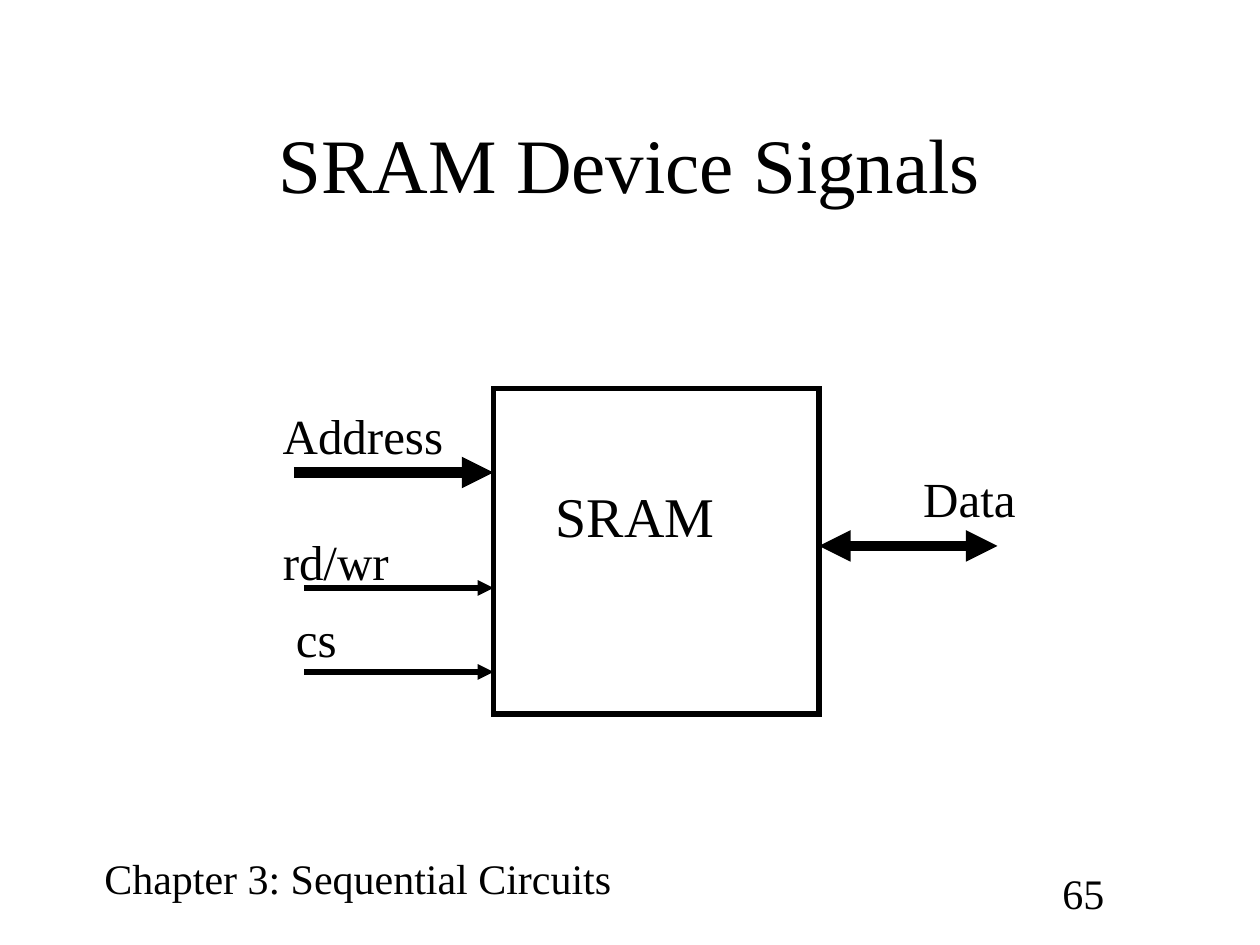
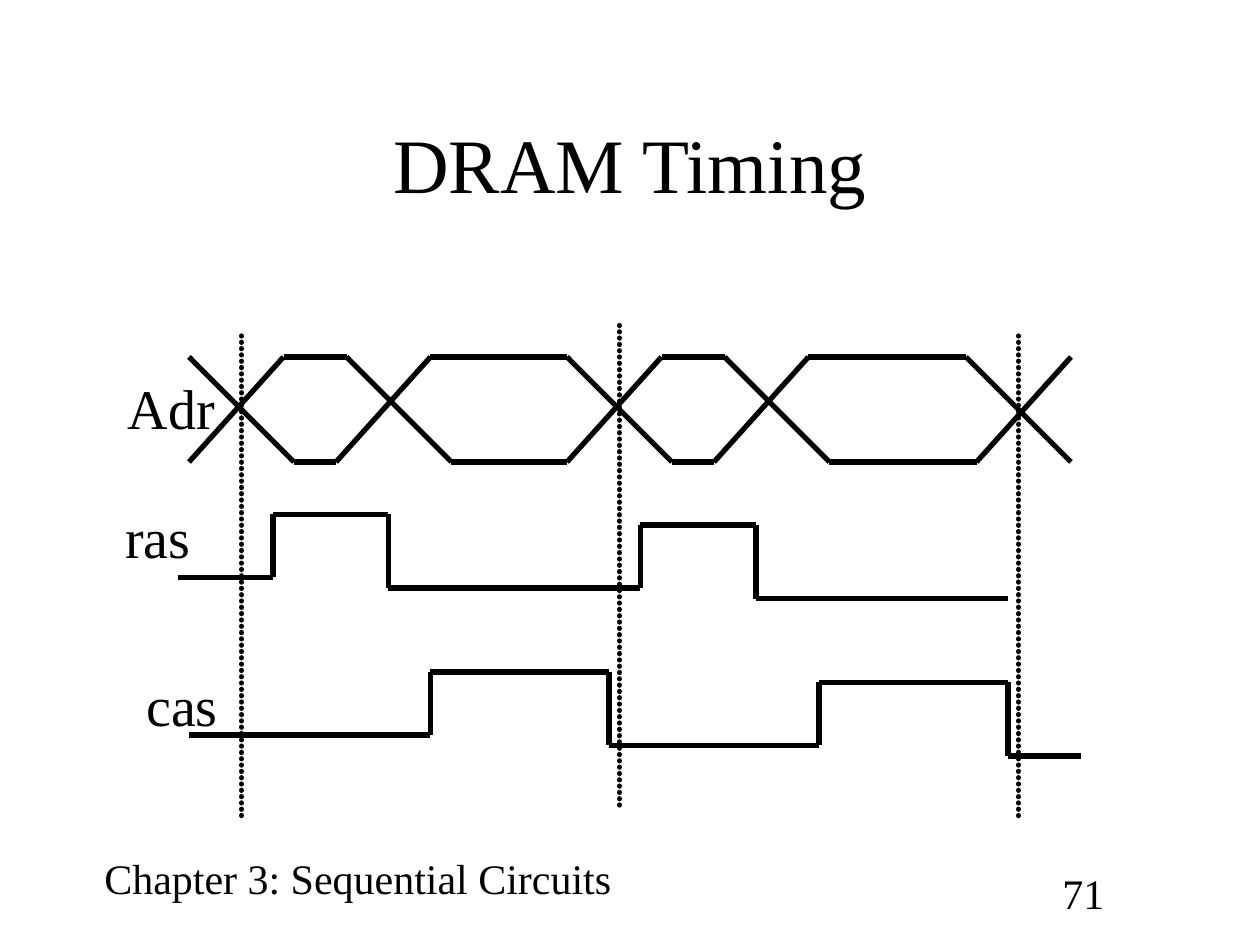
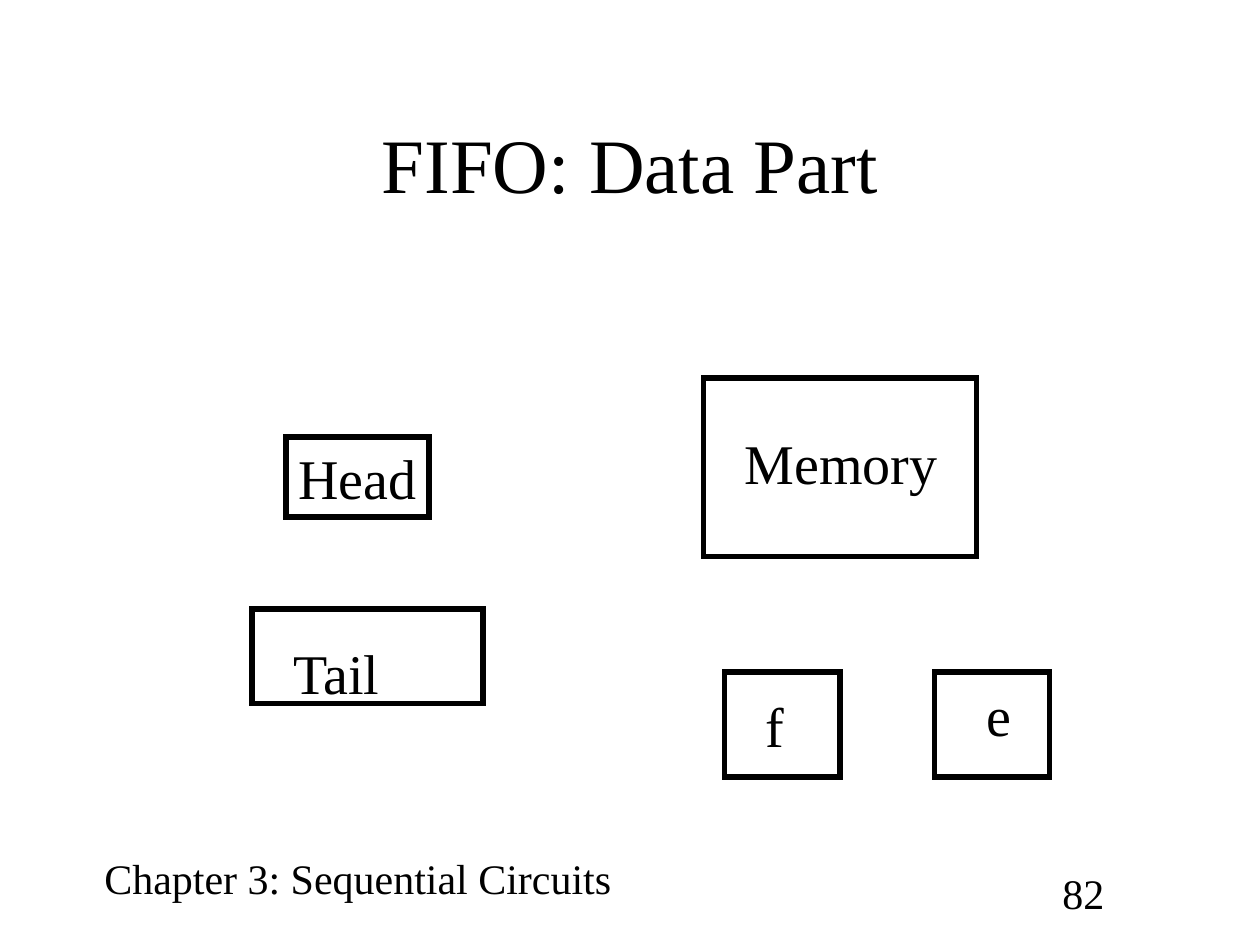
from dataclasses import dataclass
from itertools import pairwise

from pptx import Presentation
from pptx.dml.color import RGBColor
from pptx.enum.shapes import MSO_CONNECTOR as Connector, MSO_SHAPE as Preset
from pptx.enum.text import MSO_ANCHOR as Anchor, MSO_AUTO_SIZE as AutoSize, PP_ALIGN as Align
from pptx.oxml.ns import qn
from pptx.util import Emu, Pt
from lxml.etree import SubElement

PX = 9525
BLANK_LAYOUT = 6


@dataclass(frozen=True)
class Theme:
    ink: RGBColor = RGBColor(0x00, 0x00, 0x00)
    font: str = "Times New Roman"
    title: int = 44
    block: int = 32
    signal: int = 28
    footer: int = 24
    stroke: int = 3
    bus: int = 6


THEME = Theme()


def px(*lengths):
    return [Emu(length * PX) for length in lengths]


def write(frame, text, size, align=Align.LEFT, anchor=Anchor.TOP, wrap=False, before=0):
    frame.word_wrap = wrap
    frame.vertical_anchor = anchor
    paragraph = frame.paragraphs[0]
    paragraph.alignment = align
    paragraph.space_before = Pt(before)
    run = paragraph.add_run()
    run.text = text
    run.font.size = Pt(size)
    run.font.name = THEME.font
    run.font.color.rgb = THEME.ink


def add_label(slide, text, box, size=THEME.block, **style):
    frame = slide.shapes.add_textbox(*px(*box)).text_frame
    write(frame, text, size, **style)
    frame.auto_size = AutoSize.SHAPE_TO_FIT_TEXT


def add_title(slide, text):
    frame = slide.shapes.add_textbox(*px(72, 64, 816, 120)).text_frame
    write(frame, text, THEME.title, Align.CENTER, Anchor.MIDDLE, wrap=True)


def draw_stroke(part, width):
    part.line.color.rgb = THEME.ink
    part.line.width = Pt(width)
    return part.element.spPr.find(qn("a:ln"))


def add_block(slide, box, text=None):
    block = slide.shapes.add_shape(Preset.RECTANGLE, *px(*box))
    block.shadow.inherit = False
    block.fill.background()
    outline = draw_stroke(block, THEME.stroke)
    SubElement(outline, qn("a:miter")).set("lim", "800000")
    if text:
        write(block.text_frame, text, THEME.block, Align.CENTER, Anchor.MIDDLE)


def add_line(slide, start, end, width=THEME.stroke, arrows=(), dotted=False):
    wire = slide.shapes.add_connector(Connector.STRAIGHT, *px(*start, *end))
    outline = draw_stroke(wire, width)
    if dotted:
        outline.set("cap", "rnd")
        dots = SubElement(SubElement(outline, qn("a:custDash")), qn("a:ds"))
        dots.set("d", "100000")
        dots.set("sp", "20000")
    for arrow in arrows:
        SubElement(outline, qn(f"a:{arrow}")).set("type", "triangle")
    SubElement(wire.element.spPr, qn("a:effectLst"))


def add_trace(slide, points):
    for start, end in pairwise(points):
        add_line(slide, start, end)


def add_bus_trace(slide, corners, rails):
    add_trace(slide, [(x, rails[(i + 1) // 2 % 2]) for i, x in enumerate(corners)])


def add_pulse_trace(slide, edges, levels):
    spans = zip(pairwise(edges), levels)
    add_trace(slide, [(x, level) for span, level in spans for x in span])


def start_slide(deck, title, number):
    slide = deck.slides.add_slide(deck.slide_layouts[BLANK_LAYOUT])
    add_label(slide, "Chapter 3: Sequential Circuits", (70, 645, 430, 48), THEME.footer)
    add_label(slide, str(number), (800, 656, 88, 48), THEME.footer, wrap=True, before=15)
    add_title(slide, title)
    return slide


def build_sram_signals(deck):
    slide = start_slide(deck, "SRAM Device Signals", 65)
    add_block(slide, (376, 296, 248, 248))
    add_line(slide, (224, 360), (376, 360), THEME.bus, ["tailEnd"])
    add_line(slide, (624, 416), (760, 416), THEME.bus, ["headEnd", "tailEnd"])
    for y in (448, 512):
        add_line(slide, (232, y), (376, y), arrows=["tailEnd"])
    for signal, left, top, width in (
        ("Address", 206, 304, 144),
        ("Data", 694, 352, 92),
        ("rd/wr", 206, 400, 102),
        ("cs", 216, 459, 51),
    ):
        add_label(slide, signal, (left, top, width, 55), THEME.signal)
    add_label(slide, "SRAM", (414, 362, 142, 61))


def build_dram_timing(deck):
    slide = start_slide(deck, "DRAM Timing", 71)
    high, low = 272, 352
    add_bus_trace(slide, (144, 224, 256, 328, 432, 512, 544, 616, 736, 816), (high, low))
    add_bus_trace(slide, (144, 216, 264, 344, 432, 504, 552, 632, 744, 816), (low, high))
    for x, top in ((184, 256), (472, 248), (776, 256)):
        add_line(slide, (x, top), (x, top + 368), dotted=True)
    add_pulse_trace(slide, (136, 208, 296, 488, 576, 768), (440, 392, 448, 400, 456))
    add_pulse_trace(slide, (144, 328, 464, 624, 768, 824), (560, 512, 568, 520, 576))
    add_label(slide, "Adr", (88, 280, 88, 61))
    add_label(slide, "ras", (86, 378, 70, 61))
    add_label(slide, "cas", (102, 506, 75, 61))


def build_fifo_data(deck):
    slide = start_slide(deck, "FIFO: Data Part", 82)
    add_block(slide, (218, 333, 109, 61), "Head")
    for box in (
        (536, 288, 208, 136),
        (552, 512, 88, 80),
        (712, 512, 88, 80),
        (192, 464, 176, 72),
    ):
        add_block(slide, box)
    add_label(slide, "Memory", (558, 322, 168, 61))
    add_label(slide, "f", (574, 522, 35, 61))
    add_label(slide, "e", (742, 514, 39, 61))
    add_label(slide, "Tail", (214, 482, 88, 61))


def main():
    deck = Presentation()
    deck.slide_width, deck.slide_height = px(960, 720)
    build_sram_signals(deck)
    build_dram_timing(deck)
    build_fifo_data(deck)
    deck.save("out.pptx")


if __name__ == "__main__":
    main()
